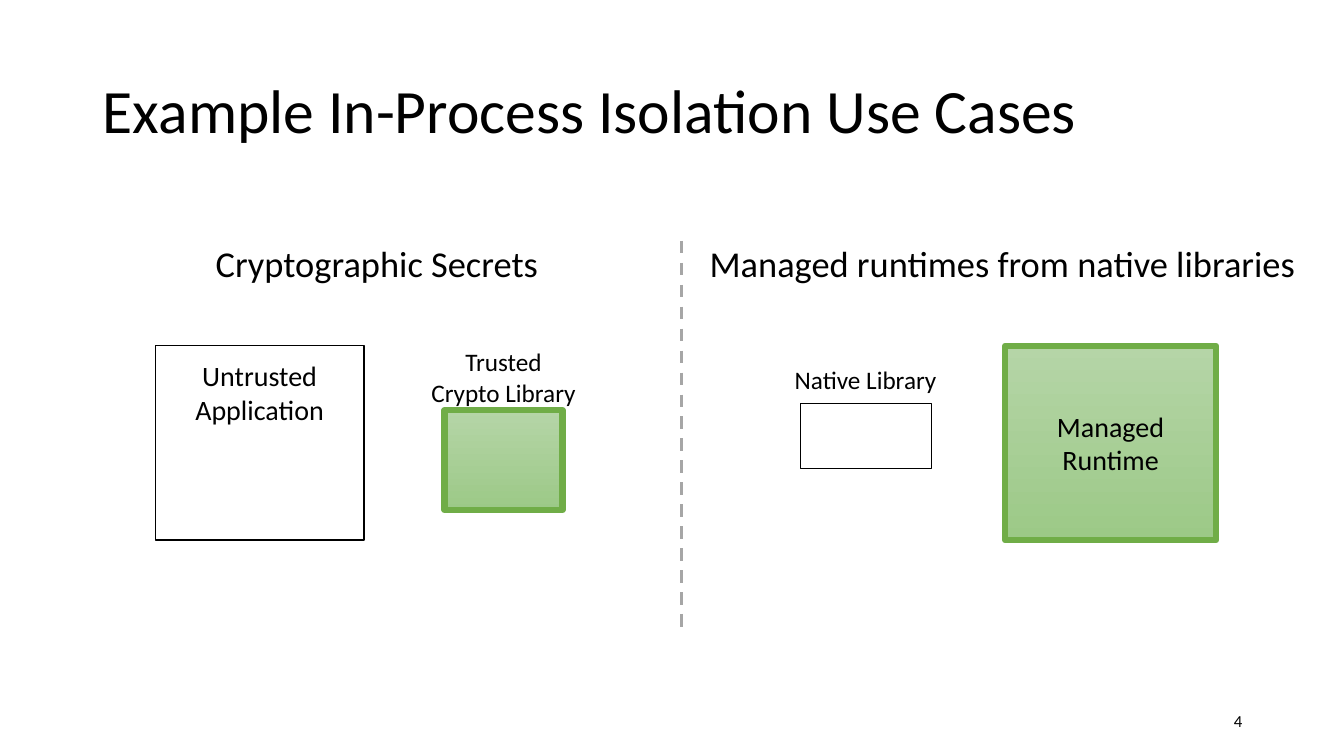
from lxml.etree import SubElement
from pptx import Presentation
from pptx.dml.color import RGBColor
from pptx.enum.dml import MSO_LINE as Dash
from pptx.enum.shapes import MSO_CONNECTOR as Connector, MSO_SHAPE as Shape
from pptx.enum.text import MSO_ANCHOR as Anchor, MSO_AUTO_SIZE as AutoSize, PP_ALIGN as Align
from pptx.oxml.ns import qn
from pptx.util import Pt

PX = 9144  # 100 px to the inch


def px(*lengths):
    return [length * PX for length in lengths]


def color(hex_string):
    return RGBColor.from_string(hex_string)


def write(shape, text, size, align=Align.CENTER, anchor=Anchor.TOP,
          spacing=None, bullet=True, top=5):
    """Fill a shape with text, one paragraph per line."""
    frame = shape.text_frame
    frame.word_wrap = True
    frame.auto_size = AutoSize.NONE
    frame.vertical_anchor = anchor
    frame.margin_top = top * PX
    for index, line in enumerate(text.split("\n")):
        paragraph = frame.paragraphs[0] if index == 0 else frame.add_paragraph()
        if not bullet:
            properties = paragraph._p.get_or_add_pPr()
            properties.set("marL", "0")
            properties.set("indent", "0")
            SubElement(properties, qn("a:buNone"))
        paragraph.alignment = align
        paragraph.space_before = Pt(0)
        if spacing:
            paragraph.line_spacing = spacing
        run = paragraph.add_run()
        run.text = line
        run.font.name = SlideBuilder.FONT
        run.font.size = Pt(size)
        run.font.color.rgb = color(SlideBuilder.BLACK)


class SlideBuilder:
    FONT = "Calibri"
    BLACK, WHITE, GRAY, GREEN = "000000", "FFFFFF", "A6A6A6", "70AD47"
    GREEN_GRADIENT = ("B5D5A7", "9CC987")

    def __init__(self, presentation):
        two_content = presentation.slide_layouts[3]
        self.slide = presentation.slides.add_slide(two_content)
        for placeholder in list(self.slide.placeholders):
            if placeholder.placeholder_format.idx > 2:
                placeholder._element.getparent().remove(placeholder._element)

    def placeholder(self, index, box, text, size, **style):
        shape = self.slide.placeholders[index]
        shape.left, shape.top, shape.width, shape.height = px(*box)
        write(shape, text, size, spacing=0.9, **style)

    def label(self, box, text, size, **style):
        write(self.slide.shapes.add_textbox(*px(*box)), text, size, **style)

    def rectangle(self, box, trusted, text="", **style):
        shape = self.slide.shapes.add_shape(Shape.RECTANGLE, *px(*box))
        shape.shadow.inherit = False
        if trusted:
            shape.fill.gradient()
            shape.fill.gradient_angle = 270
            for stop, shade in zip(shape.fill.gradient_stops, self.GREEN_GRADIENT):
                stop.color.rgb = color(shade)
        else:
            shape.fill.solid()
            shape.fill.fore_color.rgb = color(self.WHITE)
        shape.line.color.rgb = color(self.GREEN if trusted else self.BLACK)
        shape.line.width = Pt(4.5 if trusted else 1)
        if text:
            write(shape, text, 20, **style)

    def divider(self, x, top, bottom):
        line = self.slide.shapes.add_connector(Connector.STRAIGHT, *px(x, top, x, bottom))
        line.line.color.rgb = color(self.GRAY)
        line.line.width = Pt(2.25)
        line.line.dash_style = Dash.DASH
        SubElement(line._element.spPr, qn("a:effectLst"))


def main():
    presentation = Presentation()
    presentation.slide_width, presentation.slide_height = px(1333, 750)
    builder = SlideBuilder(presentation)

    # Title and column headings
    builder.placeholder(0, (92, 40, 1150, 145), "Example In-Process Isolation Use Cases",
                        44, align=Align.LEFT, anchor=Anchor.MIDDLE)
    builder.placeholder(1, (92, 239, 564, 403), "Cryptographic Secrets", 26, bullet=False)
    builder.placeholder(2, (676, 239, 637, 403), "Managed runtimes from native libraries",
                        26, bullet=False)
    builder.divider(676, 239, 625)

    # Cryptographic secrets
    builder.rectangle((441, 407, 117, 99), trusted=True)
    builder.rectangle((154, 343, 207, 193), trusted=False,
                      text="Untrusted\nApplication", top=13)
    builder.label((398, 339, 203, 71), "Trusted\nCrypto Library", 18)

    # Managed runtimes
    builder.rectangle((997, 343, 209, 193), trusted=True,
                      text="Managed Runtime", anchor=Anchor.MIDDLE)
    builder.rectangle((794, 400, 130, 65), trusted=False)
    builder.label((757, 357, 203, 40), "Native Library", 18)

    # Slide number
    builder.label((942, 695, 300, 40), "4", 12, align=Align.RIGHT, anchor=Anchor.MIDDLE)

    presentation.save("out.pptx")


if __name__ == "__main__":
    main()
